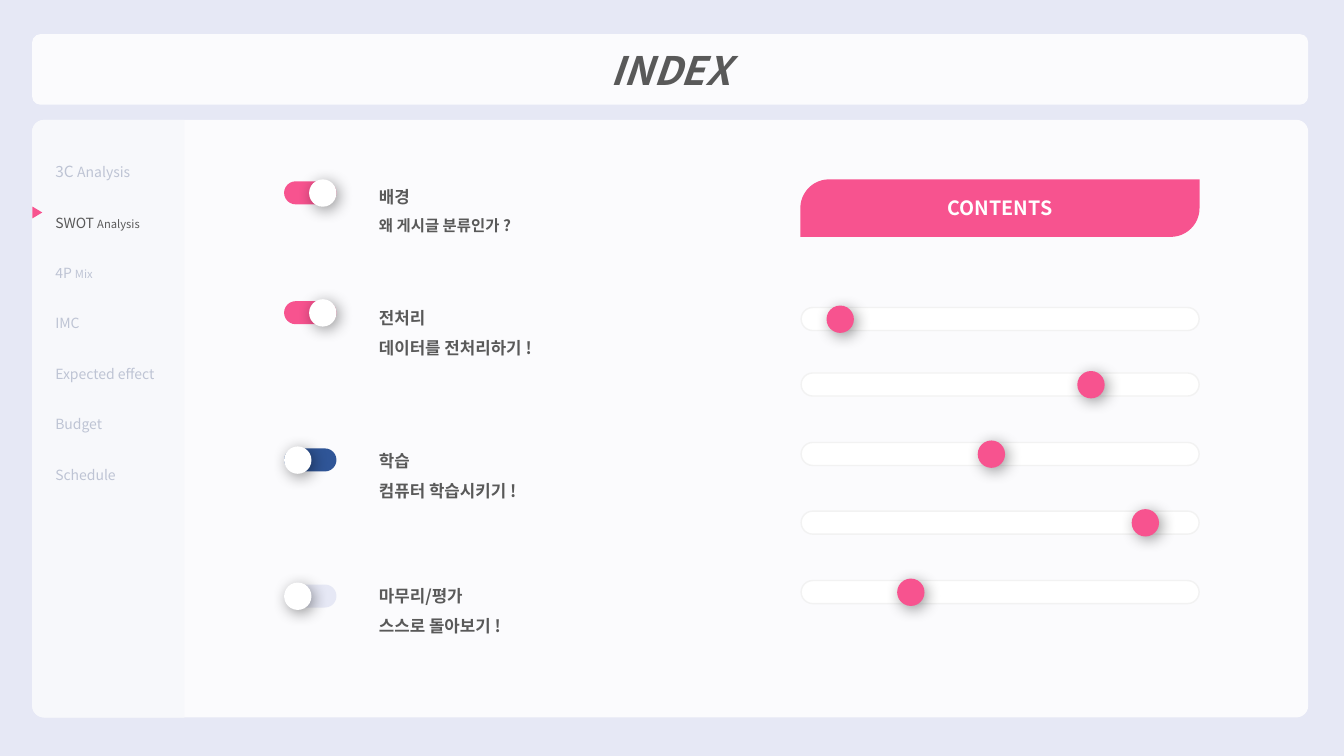
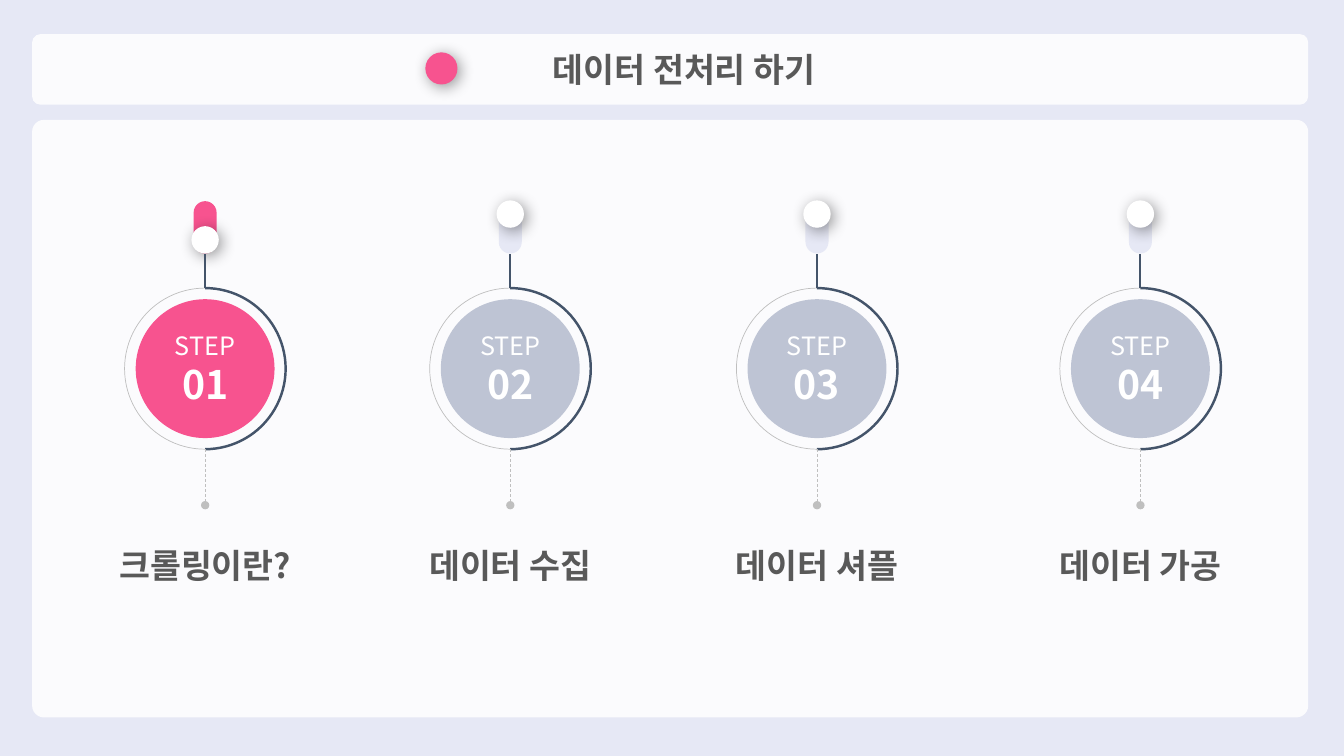
import pptx
import pptx.dml.color
import pptx.enum.dml
import pptx.enum.shapes
import pptx.enum.text
import pptx.oxml
import pptx.oxml.ns
import pptx.util
from lxml import etree

Cm = pptx.util.Cm
Pt = pptx.util.Pt
qn = pptx.oxml.ns.qn
RGB = pptx.dml.color.RGBColor.from_string
KIND = pptx.enum.shapes.MSO_SHAPE
CENTER = pptx.enum.text.PP_ALIGN.CENTER
MIDDLE = pptx.enum.text.MSO_ANCHOR.MIDDLE

FONT = "Noto Sans CJK KR"
COLORS = {
    "backdrop": "E6E8F5", "panel": "FBFBFD", "sidebar": "F7F8FB",
    "pink": "F7538F", "navy": "2F5597", "white": "FFFFFF",
    "text": "595959", "muted": "BEC4D4", "outline": "F2F2F2",
    "slate": "44546A", "grey": "BFBFBF",
}
SHADOW = (
    '<a:outerShdw xmlns:a="http://schemas.openxmlformats.org/drawingml/2006/main" '
    'blurRad="139700" dist="38100" dir="2700000" algn="tl" rotWithShape="0">'
    '<a:srgbClr val="000000"><a:alpha val="40000"/></a:srgbClr></a:outerShdw>'
)
PILL_LONG, PILL_SHORT, KNOB = 1.32, 0.58, 0.69


def add_block(page, kind, box, fill=None, line=None, weight=1, adjust=(), shadow=False):
    """Add a preset shape; box is left, top, width, height in centimetres."""
    block = page.shapes.add_shape(kind, *map(Cm, box))
    if fill:
        block.fill.solid()
        block.fill.fore_color.rgb = RGB(COLORS[fill])
    else:
        block.fill.background()
    if line:
        block.line.color.rgb = RGB(COLORS[line])
        block.line.width = Pt(weight)
    else:
        block.line.fill.background()
    for index, value in enumerate(adjust):
        block.adjustments[index] = value
    block.shadow.inherit = False
    if shadow:
        effects = block.element.spPr.find(qn("a:effectLst"))
        effects.append(pptx.oxml.parse_xml(SHADOW))
    return block


def write(frame, lines, color="text", bold=False, align=None, spacing=None):
    """Fill a text frame; each line is a list of (text, size) spans."""
    frame.word_wrap = True
    frame.auto_size = pptx.enum.text.MSO_AUTO_SIZE.NONE
    for index, spans in enumerate(lines):
        para = frame.add_paragraph() if index else frame.paragraphs[0]
        para.alignment = align
        para.line_spacing = spacing
        para.space_before = Pt(0)
        para.font.name = FONT
        para.font.size = Pt(spans[0][1])
        para.font.bold = bold
        para.font.color.rgb = RGB(COLORS[color])
        for text, size in spans:
            span = para.add_run()
            span.text = text
            if size != spans[0][1]:
                span.font.size = Pt(size)


deck = pptx.Presentation()
deck.slide_width, deck.slide_height = Cm(33.87), Cm(19.05)
backdrop = deck.slide_master.background.fill
backdrop.solid()
backdrop.fore_color.rgb = RGB(COLORS["backdrop"])

# Both pages: title band, content panel and title
BAND = (0.81, 0.86, 32.16, 1.78)
pages = []
for layout, heading, size in ((1, "INDEX", 28), (5, "데이터 전처리 하기", 24)):
    page = deck.slides.add_slide(deck.slide_layouts[layout])
    title = page.shapes.title
    for box, corner in ((BAND, 0.12), ((0.81, 3.02, 32.16, 15.06), 0.02)):
        panel = add_block(page, KIND.ROUNDED_RECTANGLE, box, "panel", adjust=[corner])
        title.element.addprevious(panel.element)
    title.left, title.top, title.width, title.height = map(Cm, BAND)
    write(title.text_frame, [[(heading, size)]], bold=True, align=CENTER)
    title.text_frame.vertical_anchor = MIDDLE
    pages.append(page)
index_page, steps_page = pages

# Index page: sidebar menu
index_page.shapes.title.text_frame.paragraphs[0].font.italic = True
sidebar = add_block(index_page, KIND.ROUND_2_SAME_RECTANGLE, (-4.8, 8.63, 15.06, 3.84),
                    "sidebar", adjust=[0.08, 0])
sidebar.rotation = 270
menu = index_page.placeholders[1]
menu.element.addprevious(sidebar.element)
menu.left, menu.top, menu.width, menu.height = map(Cm, (1.14, 3.02, 3.5, 9.37))
write(menu.text_frame, [
    [("3C ", 11), ("Analysis", 10)],
    [("SWOT ", 10), ("Analysis", 8)],
    [("4P ", 10), ("Mix", 8)],
    [("IMC", 10)],
    [("Expected effect", 10)],
    [("Budget", 10)],
    [("Schedule", 10)],
], color="muted", spacing=3)
menu.text_frame.paragraphs[1].font.color.rgb = RGB(COLORS["text"])
for props in menu.element.iter(qn("a:pPr")):
    props.set("marL", "0")
    props.set("indent", "0")
    props.find(qn("a:defRPr")).addprevious(etree.Element(qn("a:buNone")))
marker = add_block(index_page, KIND.ISOSCELES_TRIANGLE, (0.79, 5.23, 0.3, 0.25), "pink")
marker.rotation = 90

# Index page: switches with their topics
topics = [
    (4.57, 4.32, "pink", True, "배경", "왜 게시글 분류인가 ?", 11),
    (7.59, 7.37, "pink", True, "전처리", "데이터를 전처리하기 !", 12),
    (11.3, 10.97, "navy", False, "학습", "컴퓨터 학습시키기 !", 12),
    (14.73, 14.38, "backdrop", False, "마무리/평가", "스스로 돌아보기 !", 12),
]
for switch_top, text_top, color, is_on, topic, detail, size in topics:
    add_block(index_page, KIND.ROUNDED_RECTANGLE,
              (7.16, switch_top, PILL_LONG, PILL_SHORT), color, adjust=[0.5])
    knob_left = 7.16 + (PILL_LONG - KNOB if is_on else 0)
    add_block(index_page, KIND.OVAL, (knob_left, switch_top - 0.05, KNOB, KNOB),
              "white", shadow=True)
    box = index_page.shapes.add_textbox(Cm(9.3), Cm(text_top), Cm(8.05), Cm(1.7))
    write(box.text_frame, [[(topic, 12)], [(detail, size)]], bold=True, spacing=1.5)

# Index page: contents banner and sliders
banner = add_block(index_page, KIND.ROUND_2_DIAG_RECTANGLE, (20.17, 4.52, 10.06, 1.45),
                   "pink", adjust=[0.5, 0])
write(banner.text_frame, [[("CONTENTS", 14)]], "white", bold=True, align=CENTER)
sliders = [(7.75, 20.83), (9.4, 27.15), (11.15, 24.64), (12.88, 28.52), (14.63, 22.61)]
for top, knob_left in sliders:
    add_block(index_page, KIND.ROUNDED_RECTANGLE, (20.19, top, 10.03, PILL_SHORT),
              "white", line="outline", adjust=[0.5])
    add_block(index_page, KIND.OVAL, (knob_left, top - 0.05, KNOB, KNOB),
              "pink", shadow=True)

# Steps page
steps_page.shapes.title.text_frame.margin_left = Cm(0.95)
add_block(steps_page, KIND.OVAL, (10.72, 1.32, 0.81, 0.81), "pink", shadow=True)
RING, DISC, RING_TOP = 4.06, 3.5, 7.26
DISC_TOP = RING_TOP + (RING - DISC) / 2
RING_BOTTOM = RING_TOP + RING
DASH = pptx.enum.dml.MSO_LINE.DASH
steps = [(5.17, "크롤링이란?"), (12.86, "데이터 수집"),
         (20.59, "데이터 셔플"), (28.74, "데이터 가공")]
for number, (center, label) in enumerate(steps, 1):
    active = number == 1

    add_block(steps_page, KIND.ROUNDED_RECTANGLE,
              (center - PILL_SHORT / 2, 5.07, PILL_SHORT, PILL_LONG),
              "pink" if active else "backdrop", adjust=[0.5])
    add_block(steps_page, KIND.OVAL,
              (center - KNOB / 2, 5.7 if active else 5.05, KNOB, KNOB),
              "white", shadow=True)

    disc = add_block(steps_page, KIND.OVAL, (center - DISC / 2, DISC_TOP, DISC, DISC),
                     "pink" if active else "muted")
    write(disc.text_frame, [[("STEP", 18)], [(f"{number:02}", 28)]], "white", align=CENTER)
    disc.text_frame.paragraphs[1].font.bold = True

    # Arc adjustments are angles: 54 is straight down, 162 straight up
    for color, weight, angles in (("grey", 0.5, (54, 162)), ("slate", 1.75, (162, 54))):
        add_block(steps_page, KIND.ARC, (center - RING / 2, RING_TOP, RING, RING),
                  line=color, weight=weight, adjust=angles)

    for start, end, color, weight, dash in (
        (RING_TOP, 6.4, "slate", 1.5, None),
        (12.73, RING_BOTTOM, "grey", 0.5, DASH),
    ):
        stem = steps_page.shapes.add_connector(
            pptx.enum.shapes.MSO_CONNECTOR.STRAIGHT,
            Cm(center), Cm(start), Cm(center), Cm(end))
        stem.line.color.rgb = RGB(COLORS[color])
        stem.line.width = Pt(weight)
        if dash:
            stem.line.dash_style = dash
            outline = stem.element.spPr.find(qn("a:ln"))
            etree.SubElement(outline, qn("a:headEnd"), type="oval")
        etree.SubElement(stem.element.spPr, qn("a:effectLst"))

    box = steps_page.shapes.add_textbox(Cm(center - 3.39), Cm(13.11), Cm(6.78), Cm(1.6))
    write(box.text_frame, [[(label, 24)]], bold=True, align=CENTER, spacing=1.5)

# Korean glyphs take the East Asian font
for page in pages:
    for latin in list(page.element.iter(qn("a:latin"))):
        latin.addnext(etree.Element(qn("a:ea"), typeface=FONT))

deck.save("out.pptx")
